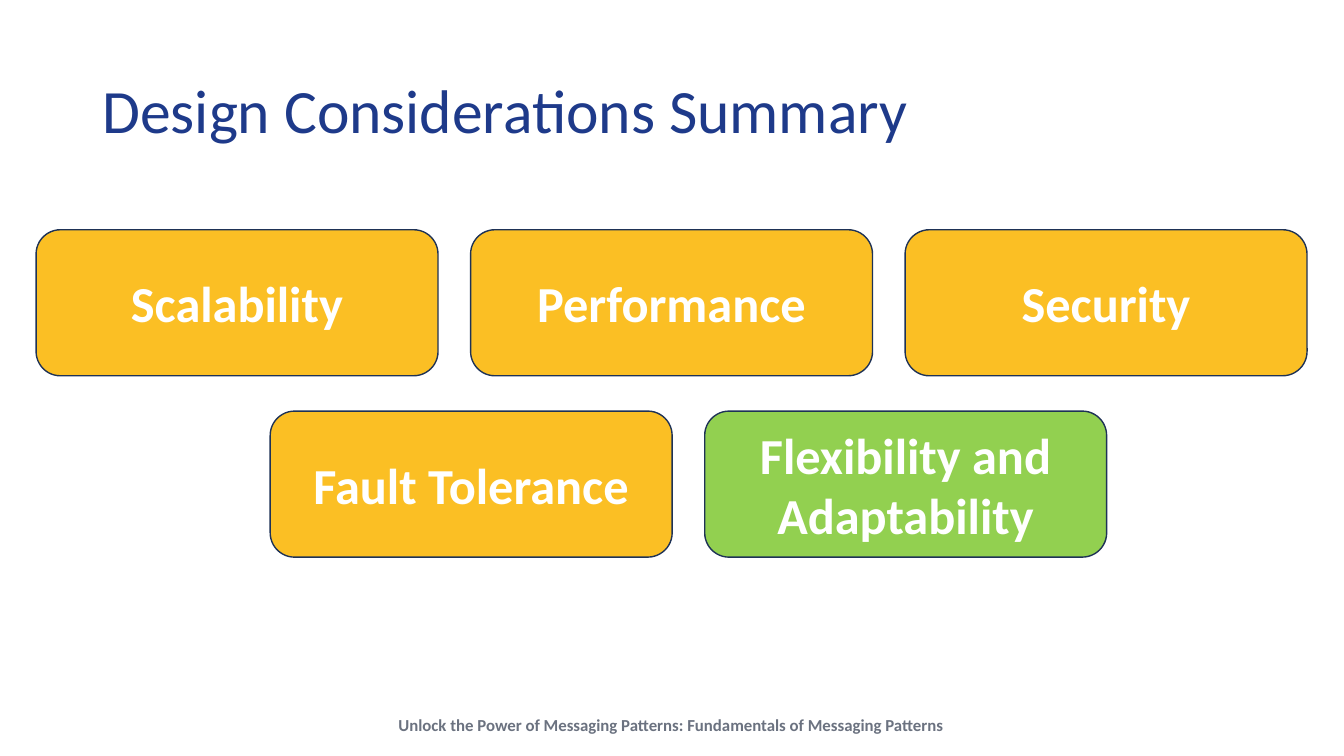
from pptx import Presentation, util as u
from pptx.dml.color import RGBColor
from pptx.enum import shapes, text


def color(value):
    return RGBColor.from_string(value)


class SlideBuilder:
    """Holds the deck style and the current slide."""

    font = "Calibri"
    navy, outline, gray, white = "1E3A8A", "1E3256", "6B7280", "FFFFFF"
    amber, green = "FBBF24", "92D050"

    def __init__(self, slide):
        self.slide = slide

    def set_wording(self, shape, wording, size, ink, bold, align, wrap=True):
        frame = shape.text_frame
        frame.text = wording
        frame.word_wrap = wrap
        frame.vertical_anchor = text.MSO_ANCHOR.MIDDLE
        paragraph = frame.paragraphs[0]
        paragraph.alignment = align
        font = paragraph.runs[0].font
        font.name, font.size, font.bold = self.font, u.Pt(size), bold
        font.color.rgb = color(ink)
        return paragraph

    def text_box(self, left, top, width, height):
        return self.slide.shapes.add_textbox(
            u.Cm(left), u.Cm(top), u.Cm(width), u.Cm(height))

    def title(self, wording):
        shape = self.text_box(2.33, 1.01, 29.21, 3.68)
        paragraph = self.set_wording(
            shape, wording, 44, self.navy, False, text.PP_ALIGN.LEFT)
        paragraph.line_spacing = 0.9

    def footer(self, wording):
        shape = self.text_box(9.7, 17.88, 14.43, 0.76)
        self.set_wording(
            shape, wording, 12, self.gray, True, text.PP_ALIGN.CENTER, wrap=False)
        shape.text_frame.auto_size = text.MSO_AUTO_SIZE.SHAPE_TO_FIT_TEXT

    def card(self, wording, left, top, fill):
        shape = self.slide.shapes.add_shape(
            shapes.MSO_SHAPE.ROUNDED_RECTANGLE,
            u.Cm(left), u.Cm(top), u.Cm(10.13), u.Cm(3.68))
        shape.shadow.inherit = False
        shape.fill.solid()
        shape.fill.fore_color.rgb = color(fill)
        shape.line.color.rgb = color(self.outline)
        shape.line.width = u.Pt(1)
        self.set_wording(shape, wording, 36, self.white, True, text.PP_ALIGN.CENTER)

    def card_row(self, left, top, cards):
        for column, (wording, fill) in enumerate(cards):
            self.card(wording, left + column * 10.95, top, fill)


def main():
    presentation = Presentation()
    presentation.slide_width, presentation.slide_height = u.Cm(33.87), u.Cm(19.05)
    builder = SlideBuilder(presentation.slides.add_slide(presentation.slide_layouts[6]))
    builder.footer("Unlock the Power of Messaging Patterns: Fundamentals of Messaging Patterns")
    builder.title("Design Considerations Summary")
    builder.card_row(0.91, 5.79, [
        ("Scalability", builder.amber),
        ("Performance", builder.amber),
        ("Security", builder.amber),
    ])
    builder.card_row(6.81, 10.36, [
        ("Fault Tolerance", builder.amber),
        ("Flexibility and Adaptability", builder.green),
    ])
    presentation.save("out.pptx")


if __name__ == "__main__":
    main()
